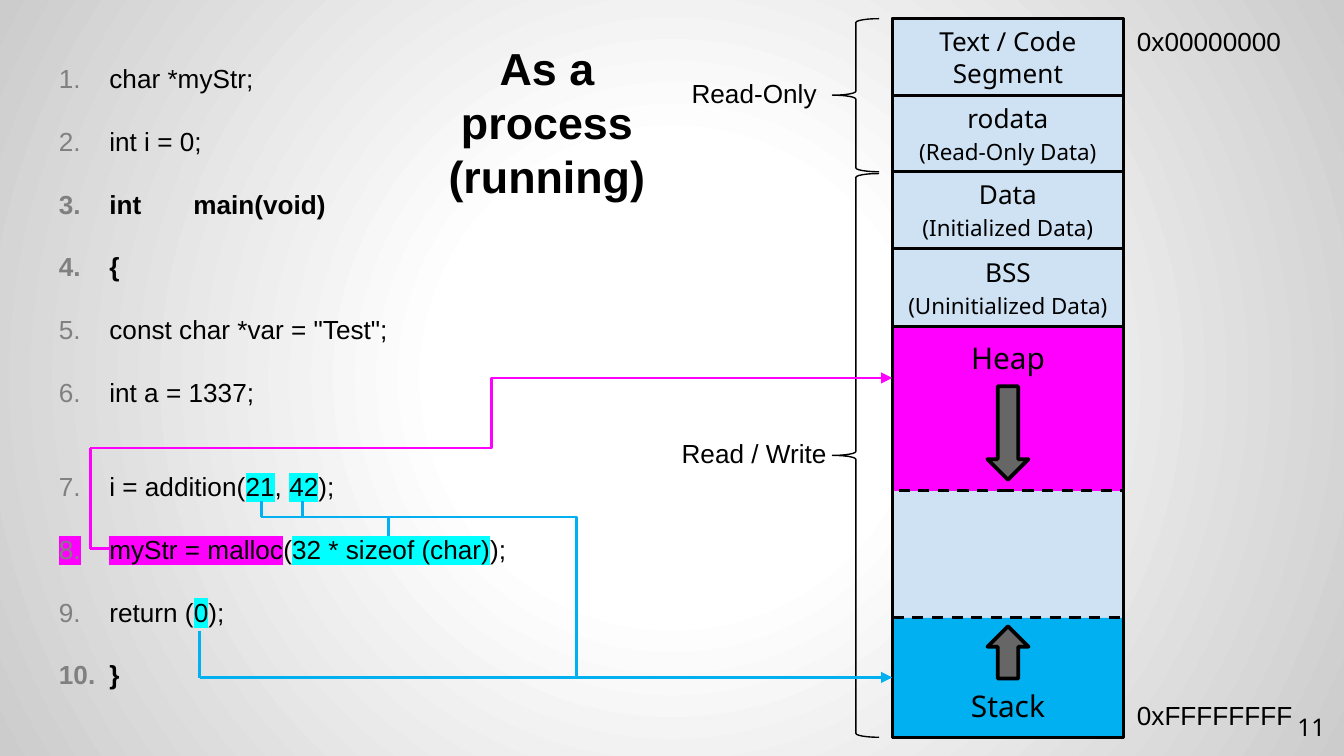
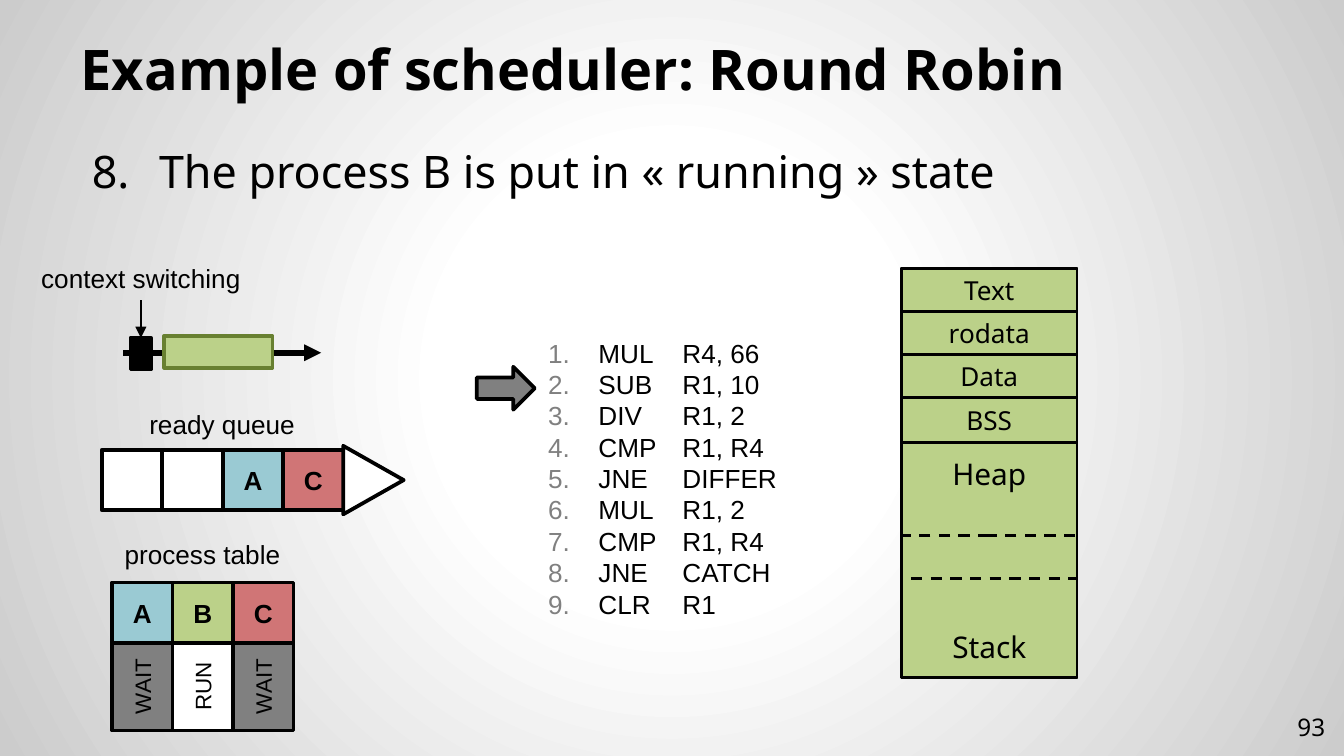
"""Build two slides on process memory and round robin scheduling."""
from itertools import accumulate
from typing import NamedTuple

from lxml.etree import SubElement
from pptx import Presentation
from pptx.dml.color import RGBColor
from pptx.enum.dml import MSO_LINE
from pptx.enum.shapes import MSO_CONNECTOR, MSO_SHAPE
from pptx.enum.text import MSO_ANCHOR, MSO_AUTO_SIZE, PP_ALIGN
from pptx.oxml import parse_xml
from pptx.oxml.ns import nsdecls, qn
from pptx.util import Pt

BLACK, WHITE, GREY, DARK = "000000", "FFFFFF", "808080", "666666"
PALE, PINK, BLUE, CYAN = "CFE2F3", "FF00FF", "00B0F0", "00FFFF"
GREEN, MOSS = "BBD189", "688031"
HUES = {"A": "9ACAD3", "B": GREEN, "C": "D07576", "": WHITE}
STATES = {"WAIT": GREY, "RUN": WHITE}
SANS, NOTO = "Arial", "Noto Sans"
LEFT, MID, RIGHT = PP_ALIGN.LEFT, PP_ALIGN.CENTER, PP_ALIGN.RIGHT
TOP, CENTER, BOTTOM = MSO_ANCHOR.TOP, MSO_ANCHOR.MIDDLE, MSO_ANCHOR.BOTTOM
CELL = 32.4
LEAD = 16.8


class Run(NamedTuple):
    text: str
    size: float = 0
    bold: bool = False
    mark: str = ""


class Line(NamedTuple):
    runs: tuple[Run, ...]
    gap: float = 0


class List(NamedTuple):
    left: float = 27
    hang: float = 27
    start: int = 1
    color: str = GREY
    tab: float = 72


class Box(NamedTuple):
    x: float
    y: float
    w: float
    h: float


class Part(NamedTuple):
    runs: tuple[Run, ...]
    high: float
    fill: str
    anchor: MSO_ANCHOR = CENTER
    dash: bool = False


class Wire(NamedTuple):
    x1: float
    y1: float
    x2: float
    y2: float
    arrow: bool = False
    bent: bool = False


def tint(code: str) -> RGBColor:
    return RGBColor.from_string(code)


def points(box: Box) -> list[Pt]:
    return [Pt(v) for v in box]


def number(para, style: List) -> None:
    props = para._p.get_or_add_pPr()
    props.set("marL", str(Pt(style.left)))
    props.set("indent", str(Pt(-style.hang)))
    SubElement(SubElement(props, qn("a:buClr")), qn("a:srgbClr"), val=style.color)
    SubElement(props, qn("a:buAutoNum"), type="arabicPeriod", startAt=str(style.start))
    tabs = SubElement(props, qn("a:tabLst"))
    SubElement(tabs, qn("a:tab"), pos=str(Pt(style.tab)), algn="l")


def add_run(para, run: Run, text: str, size: float, font: str, bold: bool) -> None:
    piece = para.add_run()
    piece.text = text
    piece.font.size = Pt(size)
    piece.font.name = font
    piece.font.bold = bold or run.bold
    piece.font.color.rgb = tint(BLACK)
    if run.mark:
        mark = SubElement(piece.font._element, qn("a:highlight"))
        SubElement(mark, qn("a:srgbClr"), val=run.mark)
        piece.font._element.find(qn("a:solidFill")).addnext(mark)


def write(shape, text: str | list[Line], *, size: float = 14, font: str = SANS,
          bold: bool = False, align: PP_ALIGN = MID, anchor: MSO_ANCHOR = TOP,
          inset: float = 3.6, style: List | None = None):
    frame = shape.text_frame
    frame.word_wrap = True
    frame.auto_size = MSO_AUTO_SIZE.NONE
    frame.vertical_anchor = anchor
    frame.margin_left = frame.margin_right = Pt(7.2)
    frame.margin_top = frame.margin_bottom = Pt(inset)
    lines = [Line((Run(text),))] if isinstance(text, str) else text
    for i, line in enumerate(lines):
        para = frame.add_paragraph() if i else frame.paragraphs[0]
        if style:
            number(para, style)
        para.alignment = align
        para.line_spacing = Pt(1.2 * size)
        para.space_before = Pt(line.gap)
        for run in line.runs:
            points_high = run.size or size
            for j, text_part in enumerate(run.text.split("\n")):
                if j:
                    para.add_line_break()
                    SubElement(para._p[-1], qn("a:rPr"), sz=str(int(points_high * 100)))
                if text_part:
                    add_run(para, run, text_part, points_high, font, bold)
    return shape


def label(slide, box: Box, text: str | list[Line], **form):
    return write(slide.shapes.add_textbox(*points(box)), text, **form)


def draw(slide, box: Box, fill: str = "", *, kind: MSO_SHAPE = MSO_SHAPE.RECTANGLE,
         line: str = BLACK, width: float = 2, dash: bool = False, turn: float = 0):
    shape = slide.shapes.add_shape(kind, *points(box))
    shape.shadow.inherit = False
    shape.rotation = turn
    if fill:
        shape.fill.solid()
        shape.fill.fore_color.rgb = tint(fill)
    else:
        shape.fill.background()
    shape.line.color.rgb = tint(line)
    shape.line.width = Pt(width)
    if dash:
        shape.line.dash_style = MSO_LINE.DASH
    return shape


def join(slide, wire: Wire, color: str = BLACK, width: float = 1.5):
    kind = MSO_CONNECTOR.ELBOW if wire.bent else MSO_CONNECTOR.STRAIGHT
    link = slide.shapes.add_connector(kind, *[Pt(v) for v in wire[:4]])
    link.line.color.rgb = tint(color)
    link.line.width = Pt(width)
    if wire.arrow:
        SubElement(link.element.spPr.get_or_add_ln(), qn("a:tailEnd"), type="triangle")
    SubElement(link.element.spPr, qn("a:effectLst"))
    return link


def place(holder, box: Box):
    holder.left, holder.top, holder.width, holder.height = points(box)
    return holder


def stack(slide, box: Box, parts: list[Part], fill: str) -> None:
    draw(slide, box, fill, width=1.5)
    tops = accumulate((p.high for p in parts), initial=box.y)
    for part, top in sorted(zip(parts, tops), key=lambda pair: not pair[0].dash):
        if part.runs:
            shape = draw(slide, Box(box.x, top, box.w, part.high), part.fill,
                         width=1.5, dash=part.dash)
            write(shape, [Line(part.runs)], font=NOTO, anchor=part.anchor,
                  size=part.runs[0].size or 14, inset=7.2)
    draw(slide, box, width=1.5)


def cells(slide, x: float, y: float, names: list[str]) -> None:
    for i, name in enumerate(names):
        shape = draw(slide, Box(x + i * CELL, y, CELL, CELL), HUES[name])
        if name:
            write(shape, name, bold=True, anchor=CENTER)


def page(slide, text: str) -> None:
    label(slide, Box(674, 374, 43, 31), text, size=13, font=NOTO, align=RIGHT,
          anchor=CENTER, inset=7.2)


def paint(master) -> None:
    master.background.fill.gradient()
    stops = "".join(f'<a:gs pos="{pos}"><a:srgbClr val="{code}"/></a:gs>'
                    for pos, code in ((0, WHITE), (30000, WHITE), (100000, "CCCCCC")))
    old = next(master.element.iter(qn("a:gradFill")))
    old.getparent().replace(old, parse_xml(
        f'<a:gradFill {nsdecls("a")} rotWithShape="1"><a:gsLst>{stops}</a:gsLst>'
        '<a:path path="circle"><a:fillToRect l="50000" t="50000" r="50000" b="50000"/>'
        '</a:path></a:gradFill>'))


def memory(deck) -> None:
    slide = deck.slides.add_slide(deck.slide_layouts[5])
    write(place(slide.shapes.title, Box(210, 18, 166, 94)),
          [Line((Run("As a\nprocess"),)), Line((Run("(running)"),))],
          size=24, bold=True, anchor=CENTER)
    page(slide, "11")
    stack(slide, Box(478, 10, 124, 385), [
        Part((Run("Text / Code Segment"),), 41, PALE),
        Part((Run("rodata\n"), Run("(Read-Only Data)", 12)), 41, PALE),
        Part((Run("Data\n"), Run("(Initialized Data)", 12)), 41, PALE),
        Part((Run("BSS\n"), Run("(Uninitialized Data)", 12)), 42, PALE),
        Part((Run("Heap", 16),), 88, PINK, TOP, True),
        Part((), 68, PALE),
        Part((Run("Stack", 16),), 64, BLUE, BOTTOM, True),
    ], PALE)
    for top, high, turn in ((207, 50, 0), (335.5, 28, 180)):
        draw(slide, Box(529, top, 22, high), DARK, kind=MSO_SHAPE.DOWN_ARROW, turn=turn)
    code = [
        (Run("char *myStr;"),),
        (Run("int i = 0;"),),
        (Run("int\tmain(void)", bold=True),),
        (Run("{", bold=True),),
        (Run("const char *var = \"Test\";"),),
        (Run("int a = 1337;"),),
        (Run("i = addition("), Run("21", mark=CYAN), Run(", "),
         Run("42", mark=CYAN), Run(");")),
        (Run("myStr = malloc", mark=PINK), Run("("),
         Run("32 * sizeof (char)", mark=CYAN), Run(");")),
        (Run("return ("), Run("0", mark=CYAN), Run(");")),
        (Run("}", bold=True),),
    ]
    gaps = {0: 0, 6: 2 * LEAD}
    label(slide, Box(24.5, 30, 315, 346),
          [Line(runs, gaps.get(i, LEAD)) for i, runs in enumerate(code)],
          align=LEFT, style=List())
    for top, high in ((10, 82), (93, 302)):
        draw(slide, Box(446, top, 25, high), kind=MSO_SHAPE.LEFT_BRACE, width=0.75)
    label(slide, Box(362, 38, 84, 24), "Read-Only")
    label(slide, Box(351, 231, 106, 24), "Read / Write")
    for wire in (Wire(140, 277, 478, 363, True, True), Wire(208, 277, 208, 287),
                 Wire(107, 338, 107, 363), Wire(107, 363, 309, 363),
                 Wire(140, 268.5, 140, 277), Wire(162, 268.5, 162, 277)):
        join(slide, wire, BLUE)
    for wire in (Wire(48.5, 240, 478, 202.5, True, True),
                 Wire(48.5, 240, 48.5, 294), Wire(48.5, 294, 59, 294)):
        join(slide, wire, PINK)
    label(slide, Box(602, 10, 96, 24), "0x00000000", align=LEFT)
    label(slide, Box(602, 371, 103, 24), "0xFFFFFFFF", align=LEFT)


def robin(deck) -> None:
    slide = deck.slides.add_slide(deck.slide_layouts[1])
    write(place(slide.shapes.title, Box(36, 16.5, 648, 45)),
          "Example of scheduler: Round Robin", size=30, font=NOTO, bold=True,
          align=LEFT, anchor=BOTTOM, inset=7.2)
    write(place(slide.placeholders[1], Box(36, 70, 648, 317)),
          "The process B is put in « running » state", size=24, font=NOTO,
          align=LEFT, inset=7.2, style=List(42, 36, 8, BLACK))
    page(slide, "93")
    cells(slide, 60, 312, ["A", "B", "C"])
    label(slide, Box(47.5, 285, 122, 24), "process table")
    for i, state in enumerate(("WAIT", "RUN", "WAIT")):
        left = 60 + i * CELL
        draw(slide, Box(left, 344.4, CELL, 47), STATES[state])
        name = label(slide, Box(left + CELL / 2 - 23.5, 357, 47, 21.6), state, size=12)
        name.rotation = 270
    code = ("MUL\tR4, 66", "SUB\tR1, 10", "DIV\tR1, 2", "CMP\tR1, R4", "JNE\tDIFFER",
            "MUL\tR1, 2", "CMP\tR1, R4", "JNE\tCATCH", "CLR\tR1")
    label(slide, Box(286.5, 177, 165, 160), [Line((Run(text),)) for text in code],
          align=LEFT, style=List())
    draw(slide, Box(255.5, 196.5, 31, 23), GREY, kind=MSO_SHAPE.RIGHT_ARROW)
    stack(slide, Box(483, 144, 94, 219), [
        *[Part((Run(name),), high, GREEN) for name, high in
          (("Text", 23), ("rodata", 23), ("Data", 23), ("BSS", 24))],
        Part((Run("Heap", 16),), 50, GREEN, TOP, True),
        Part((), 23, GREEN),
        Part((Run("Stack", 16),), 53, GREEN, BOTTOM, True),
    ], GREEN)
    switch = label(slide, Box(13, 137, 125, 24), "context switching")
    join(slide, Wire(66, 189, 172, 189, True), width=3)
    block = draw(slide, Box(70, 181, 11, 17), BLACK)
    link = join(slide, Wire(75.5, 161, 75.5, 181, True), width=0.75)
    link.begin_connect(switch, 2)
    link.end_connect(block, 0)
    draw(slide, Box(88, 180, 58, 17), GREEN, line=MOSS)
    cells(slide, 54.5, 241, ["", "", "A", "C"])
    draw(slide, Box(181.7, 241, 36.7, CELL), WHITE,
         kind=MSO_SHAPE.ISOSCELES_TRIANGLE, turn=90)
    label(slide, Box(59, 215, 120, 24), "ready queue")


def main() -> None:
    deck = Presentation()
    deck.slide_width, deck.slide_height = Pt(720), Pt(405)
    paint(deck.slide_master)
    memory(deck)
    robin(deck)
    deck.save("out.pptx")


if __name__ == "__main__":
    main()
